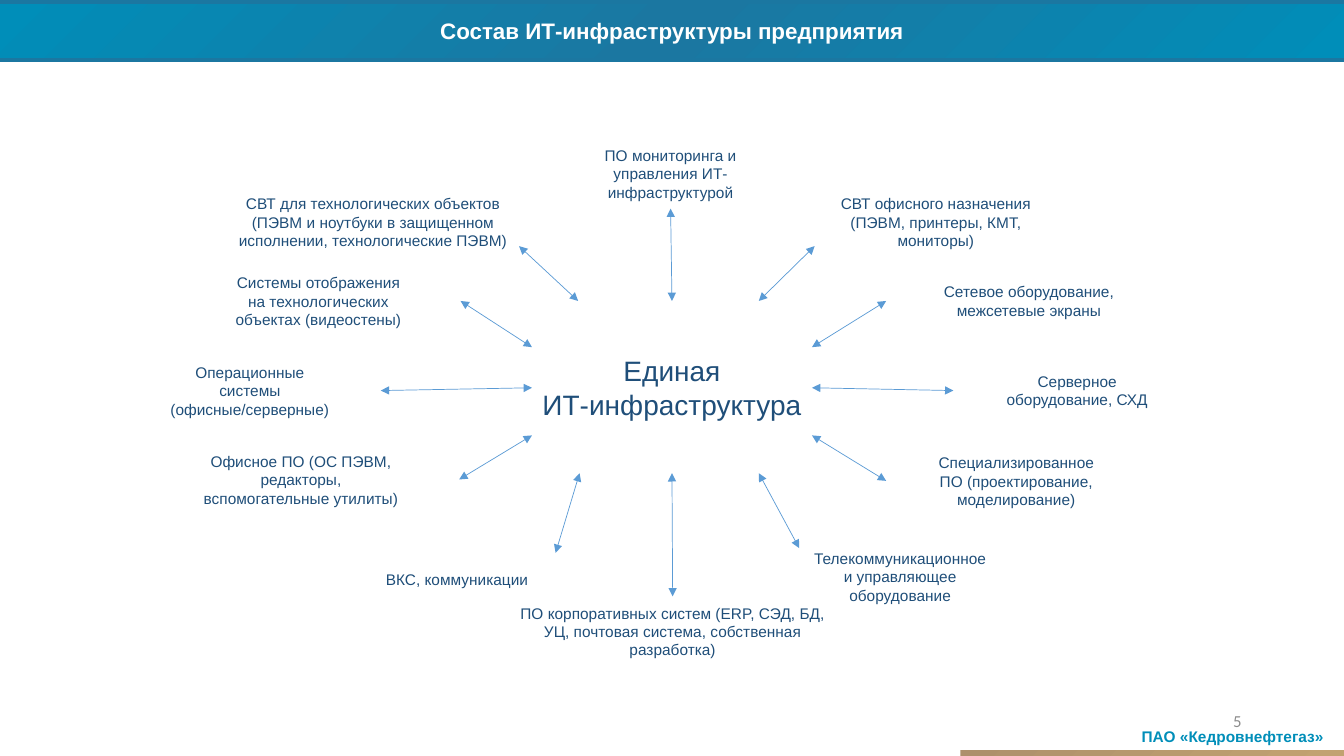
from lxml.etree import SubElement
from pptx import Presentation
from pptx.dml.color import RGBColor
from pptx.enum.shapes import MSO_CONNECTOR, MSO_SHAPE
from pptx.enum.text import MSO_ANCHOR, MSO_AUTO_SIZE, PP_ALIGN
from pptx.oxml.ns import qn
from pptx.util import Pt

COLORS = {
    "white": "FFFFFF", "teal": "008EB9", "blue": "1B77A1", "navy": "1F4E79",
    "arrow": "5B9BD5", "bronze": "AD906B", "sand": "C2A271", "gray": "8C8C8C",
}
DIAGONAL = 0.7071
HUB_BOX = (380, 215, 200, 123)

# Each entry: text, box, side of the label the arrow leaves, arrow end within the hub
LABELS = [
    ("Операционные системы (офисные/серверные)", (85, 258, 187, 42), (1, 0), (0, 62)),
    ("Серверное оборудование, СХД", (681, 258, 177, 42), (-1, 0), (200, 62)),
    ("Сетевое оборудование, межсетевые экраны", (633, 190, 204, 50), (-1, 0), (200, 33)),
    ("СВТ офисного назначения (ПЭВМ, принтеры, КМТ, мониторы)",
     (546, 134, 245, 49), (-1, 1), (162, 0)),
    ("Системы отображения на технологических объектах (видеостены)",
     (126, 190, 203, 50), (1, 0), (0, 33)),
    ("СВТ для технологических объектов (ПЭВМ и ноутбуки в защищенном исполнении, "
     "технологические ПЭВМ)", (119, 134, 295, 49), (1, 1), (33, 0)),
    ("Офисное ПО (ОС ПЭВМ, редакторы, вспомогательные утилиты)",
     (102, 316, 226, 53), (1, 0), (0, 96)),
    ("Специализированное ПО (проектирование, моделирование)",
     (633, 317, 186, 53), (-1, 0), (200, 96)),
    ("Телекоммуникационное и управляющее оборудование",
     (541, 383, 204, 58), (-1, -1), (162, 123)),
    ("ПО мониторинга и управления ИТ-инфраструктурой", (391, 99, 176, 50), (0, 1), (100, 0)),
    ("ВКС, коммуникации", (227, 387, 199, 54), (1, -1), (34, 123)),
    ("ПО корпоративных систем (ERP, СЭД, БД, УЦ, почтовая система, собственная разработка)",
     (314, 426, 333, 50), (0, -1), (100, 123)),
]


def write_text(shape, text, size=11, color="navy", font="Arial", bold=False,
               align=PP_ALIGN.CENTER, anchor=MSO_ANCHOR.MIDDLE, wrap=True):
    """Fill a shape with formatted text, one paragraph per line."""
    frame = shape.text_frame
    frame.text = text
    frame.word_wrap = wrap
    frame.auto_size = MSO_AUTO_SIZE.NONE
    frame.vertical_anchor = anchor
    for paragraph in frame.paragraphs:
        paragraph.alignment = align
        paragraph.font.size = Pt(size)
        paragraph.font.name = font
        paragraph.font.bold = bold
        paragraph.font.color.rgb = RGBColor.from_string(COLORS[color])


def fill_gradient(shape, colors):
    """Fill a shape with evenly spaced diagonal gradient stops."""
    shape.fill.gradient()
    shape.fill.gradient_angle = 315
    stops = shape.fill._fill._gradFill.find(qn("a:gsLst"))
    for stop in list(stops):
        stops.remove(stop)
    for index, color in enumerate(colors):
        position = index * 100000 // (len(colors) - 1)
        stop = SubElement(stops, qn("a:gs"), pos=str(position))
        SubElement(stop, qn("a:srgbClr"), val=COLORS[color])


def add_line(slide, start, end, color, width, arrows=False):
    """Draw a straight line, optionally with an arrowhead at each end."""
    line = slide.shapes.add_connector(
        MSO_CONNECTOR.STRAIGHT, *(Pt(value) for value in (*start, *end)))
    line.line.color.rgb = RGBColor.from_string(COLORS[color])
    line.line.width = Pt(width)
    if arrows:
        outline = line.line._get_or_add_ln()
        for tag in ("a:headEnd", "a:tailEnd"):
            SubElement(outline, qn(tag), type="triangle")
    SubElement(line._element.spPr, qn("a:effectLst"))


def add_text_box(slide, box, text, **text_format):
    """Place a text box and write its text."""
    shape = slide.shapes.add_textbox(*(Pt(value) for value in box))
    write_text(shape, text, **text_format)
    return shape


def add_header(slide, box, text):
    """Turn the title placeholder into a banner edged with two lines."""
    left, top, width, height = box
    title = slide.shapes.title
    title.left, title.top, title.width, title.height = (Pt(value) for value in box)
    fill_gradient(title, ("teal", "blue", "teal"))
    write_text(title, text, size=16, color="white", bold=True, wrap=False)
    for edge in (top + height + 1.5, top):
        add_line(slide, (left, edge), (left + width, edge), "blue", 3)


def add_footer(slide, box, company, number):
    """Place the company name, stripe and page number at the bottom right."""
    left, top, width, height = box
    add_text_box(slide, (left + width - 159, top + 16, 159, 21), company,
                 color="teal", bold=True, anchor=MSO_ANCHOR.TOP)
    stripe = slide.shapes.add_shape(
        MSO_SHAPE.RECTANGLE, Pt(left + 8), Pt(top + height - 4), Pt(width - 8), Pt(4))
    stripe.shadow.inherit = False
    stripe.line.fill.background()
    fill_gradient(stripe, ("bronze", "sand"))
    add_text_box(slide, (left, top, 216, 29), number, size=12, color="gray",
                 font="Calibri", align=PP_ALIGN.RIGHT)


def add_label(slide, box, text):
    """Place an invisible ellipse holding one component name."""
    label = slide.shapes.add_shape(MSO_SHAPE.OVAL, *(Pt(value) for value in box))
    label.shadow.inherit = False
    label.fill.background()
    label.line.fill.background()
    write_text(label, text)


def ellipse_point(box, side):
    """Return the point where an ellipse meets the given compass direction."""
    left, top, width, height = box
    scale = DIAGONAL if all(side) else 1
    return (left + width / 2 * (1 + side[0] * scale),
            top + height / 2 * (1 + side[1] * scale))


def add_diagram(slide, hub_box, labels):
    """Place the hub, the components around it and the arrows between them."""
    hub = add_text_box(slide, hub_box, "Единая\nИТ-инфраструктура", size=20)
    hub.text_frame.margin_left = hub.text_frame.margin_right = Pt(0)
    for text, box, _, _ in labels:
        add_label(slide, box, text)
    for _, box, side, (across, down) in labels:
        hub_point = (hub_box[0] + across, hub_box[1] + down)
        add_line(slide, ellipse_point(box, side), hub_point, "arrow", 0.5, arrows=True)


def main():
    """Build and save the presentation."""
    presentation = Presentation()
    presentation.slide_width = Pt(960)
    presentation.slide_height = Pt(540)
    slide = presentation.slides.add_slide(presentation.slide_layouts[5])
    add_header(slide, (0, 1.5, 960, 40), "Состав ИТ-инфраструктуры предприятия")
    add_footer(slide, (678, 500, 282, 40), "ПАО «Кедровнефтегаз»", "5")
    add_diagram(slide, HUB_BOX, LABELS)
    presentation.save("out.pptx")


if __name__ == "__main__":
    main()
